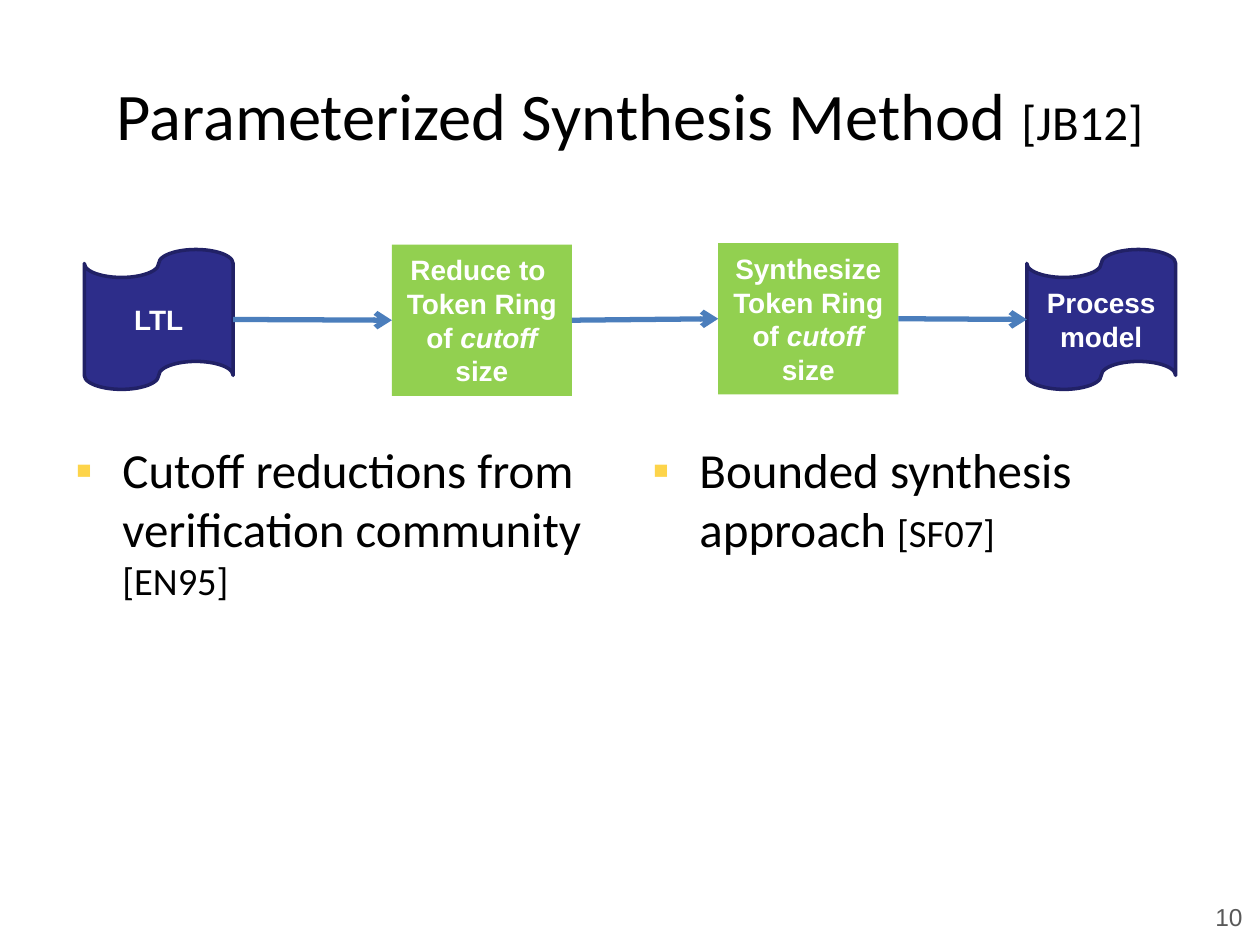
from lxml import etree
from pptx import Presentation
from pptx.dml.color import RGBColor
from pptx.enum.shapes import MSO_CONNECTOR, MSO_SHAPE
from pptx.enum.text import MSO_ANCHOR, PP_ALIGN
from pptx.oxml.ns import qn
from pptx.util import Cm, Pt

STRAIGHT = MSO_CONNECTOR.STRAIGHT
TAPE, RECT = MSO_SHAPE.FLOWCHART_PUNCHED_TAPE, MSO_SHAPE.RECTANGLE
TOP, MIDDLE, BOTTOM = MSO_ANCHOR.TOP, MSO_ANCHOR.MIDDLE, MSO_ANCHOR.BOTTOM
LEFT, CENTER, RIGHT = PP_ALIGN.LEFT, PP_ALIGN.CENTER, PP_ALIGN.RIGHT
LEFT_SITE, RIGHT_SITE = 1, 3


def color(hex_code):
    """Return the colour for a hex string."""
    return RGBColor.from_string(hex_code)


def write(frame, paragraphs, font="Calibri", size=28, fill="000000",
          bold=False, align=LEFT, anchor=TOP):
    """Fill a frame with paragraphs of (text, run options) pairs."""
    frame.word_wrap = True
    frame.vertical_anchor = anchor
    for index, runs in enumerate(paragraphs):
        paragraph = frame.add_paragraph() if index else frame.paragraphs[0]
        paragraph.alignment = align
        for words, options in runs:
            run = paragraph.add_run()
            run.text = words
            run.font.name = font
            run.font.size = Pt(options.get("size", size))
            run.font.bold = bold
            run.font.italic = options.get("italic", False)
            run.font.color.rgb = color(fill)


def add_text(slide, box, paragraphs, **text_format):
    """Add a text box and return its frame."""
    frame = slide.shapes.add_textbox(*map(Cm, box)).text_frame
    write(frame, paragraphs, **text_format)
    return frame


def add_title(slide, box, heading, citation):
    """Place the heading with its smaller citation."""
    frame = add_text(slide, box, [[(heading, {}), (citation, {"size": 28})]],
                     size=38, align=CENTER, anchor=BOTTOM)
    frame.margin_top = frame.margin_bottom = Cm(0.25)


def add_stage(slide, box, outline, fill, border, paragraphs):
    """Place one labelled stage of the method."""
    stage = slide.shapes.add_shape(outline, *map(Cm, box))
    stage.shadow.inherit = False
    stage.fill.solid()
    stage.fill.fore_color.rgb = color(fill)
    if border:
        stage.line.color.rgb = color(border)
        stage.line.width = Pt(2)
    else:
        stage.line.fill.background()
    write(stage.text_frame, paragraphs, font="Arial", size=16, fill="FFFFFF",
          bold=True, align=CENTER, anchor=MIDDLE)
    return stage


def add_arrow(slide, source, target):
    """Connect two neighbouring stages with an arrow."""
    arrow = slide.shapes.add_connector(STRAIGHT, 0, 0, 0, 0)
    arrow.begin_connect(source, RIGHT_SITE)
    arrow.end_connect(target, LEFT_SITE)
    arrow.line.color.rgb = color("4B7EBC")
    arrow.line.width = Pt(3)
    etree.SubElement(arrow.line._get_or_add_ln(), qn("a:tailEnd"), type="arrow")
    etree.SubElement(arrow._element.spPr, qn("a:effectLst"))


def add_flow(slide, box):
    """Place the four stages and the arrows between them."""
    left, top, width, height = box
    tape_width, tape_height = 3, 2.82
    step_width, step_height = 3.63, 3.05
    tape_top = top + (height - tape_height) / 2
    tape_style = (TAPE, "2D2D8A", "212166")
    step_style = (RECT, "92D050", None)
    cutoff = {"italic": True}
    stages = [
        add_stage(slide, (left, tape_top, tape_width, tape_height), *tape_style,
                  [[("LTL", {})]]),
        add_stage(slide, (left + 6.2, top + 0.03, step_width, step_height),
                  *step_style,
                  [[("Reduce to ", {})],
                   [("Token Ring of ", {}), ("cutoff ", cutoff), ("size", {})]]),
        add_stage(slide, (left + 12.78, top, step_width, step_height),
                  *step_style,
                  [[("Synthesize Token Ring", {})],
                   [("of ", {}), ("cutoff", cutoff)],
                   [("size", {})]]),
        add_stage(slide, (left + width - tape_width, tape_top, tape_width,
                          tape_height), *tape_style, [[("Process model", {})]]),
    ]
    for source, target in zip(stages, stages[1:]):
        add_arrow(slide, source, target)


def add_note(slide, box, statement, citation):
    """Place one bulleted statement with its smaller citation."""
    frame = add_text(slide, box, [[(statement, {}), (citation, {"size": 22})]])
    properties = frame.paragraphs[0]._p.get_or_add_pPr()
    indent = Cm(0.95)
    properties.set("marL", str(indent))
    properties.set("indent", str(-indent))
    bullet_color = etree.SubElement(properties, qn("a:buClr"))
    etree.SubElement(bullet_color, qn("a:srgbClr"), val="FDD44A")
    etree.SubElement(properties, qn("a:buFont"), typeface="Arial")
    etree.SubElement(properties, qn("a:buChar"), char="▪")


def add_notes(slide, box, notes, gap):
    """Place the bulleted statements in equal columns."""
    left, top, width, height = box
    column = (width - gap * (len(notes) - 1)) / len(notes)
    for index, note in enumerate(notes):
        add_note(slide, (left + index * (column + gap), top, column, height), *note)


def build():
    """Build the slide and save it."""
    deck = Presentation()
    deck.slide_width, deck.slide_height = Cm(25.4), Cm(19.05)
    slide = deck.slides.add_slide(deck.slide_layouts[6])
    add_text(slide, (19.38, 18.06, 5.92, 0.86), [[("10", {})]],
             font="Arial", size=14, fill="595959", align=RIGHT)
    add_title(slide, (1.27, 1.22, 22.86, 2.13),
              "Parameterized Synthesis Method ", "[JB12]")
    add_notes(slide, (1.27, 8.74, 22.86, 8.28),
              [("Cutoff reductions from verification community ", "[EN95]"),
               ("Bounded synthesis approach ", "[SF07]")], gap=0.4)
    add_flow(slide, (1.7, 4.9, 22, 3.08))
    deck.save("out.pptx")


build()
